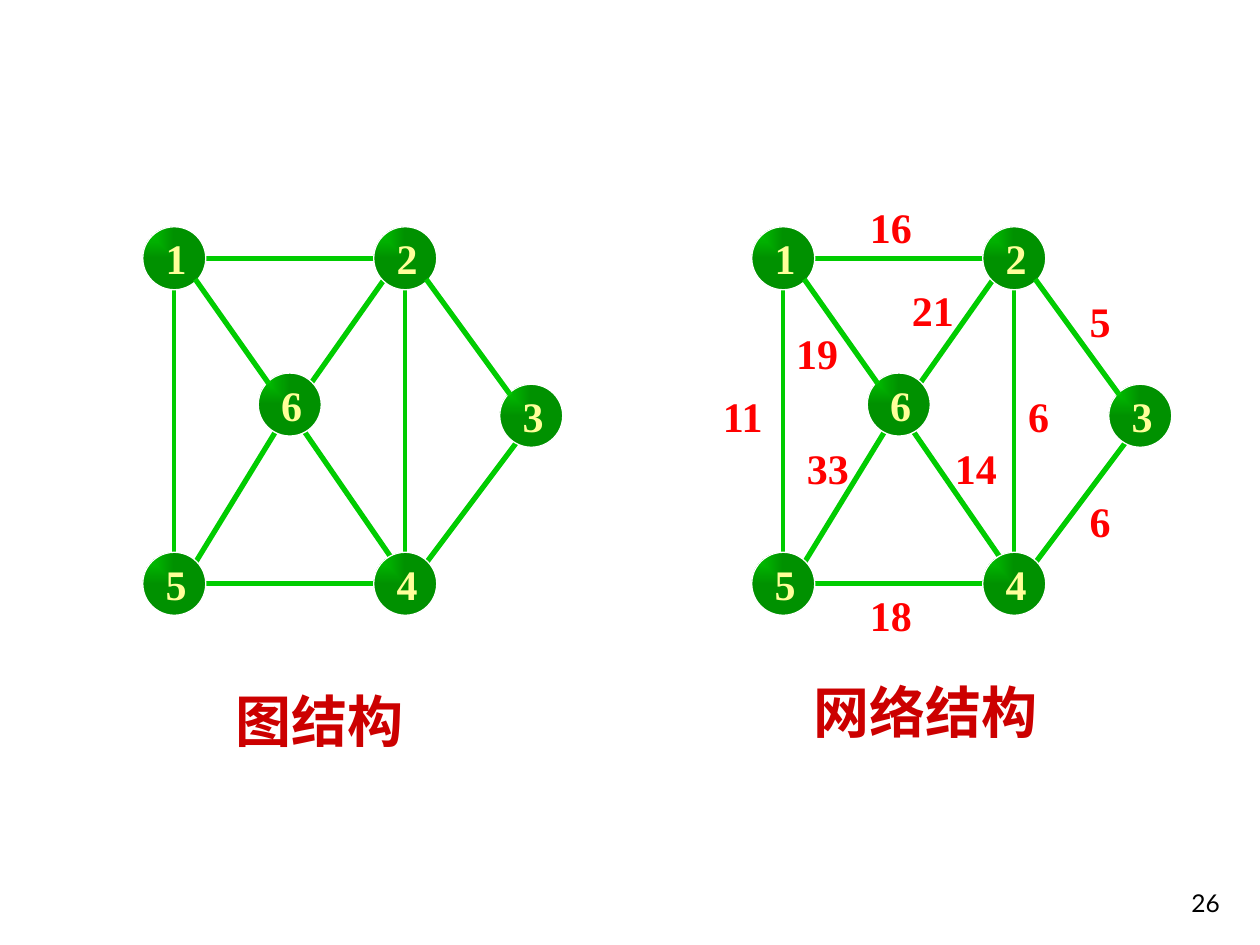
from lxml.etree import SubElement
from pptx import Presentation
from pptx.dml.color import RGBColor
from pptx.enum.shapes import MSO_CONNECTOR, MSO_SHAPE
from pptx.enum.text import MSO_ANCHOR, MSO_AUTO_SIZE, PP_ALIGN
from pptx.oxml import parse_xml
from pptx.oxml.ns import nsdecls, qn
from pptx.util import Pt

GREEN = RGBColor(0x00, 0xCC, 0x00)
WHITE = RGBColor(0xFF, 0xFF, 0xFF)
YELLOW = RGBColor(0xFF, 0xFF, 0x99)
RED = RGBColor(0xFF, 0x00, 0x00)
DARK_RED = RGBColor(0xCC, 0x00, 0x00)
BLACK = RGBColor(0x00, 0x00, 0x00)
SERIF, SANS = "Times New Roman", "Lato"

DIAMETER = 36
RADIUS = DIAMETER / 2
NETWORK_X = 348  # distance from the graph to the network

# Centres of the nodes in the left graph
NODES = {
    "1": (99.6, 147.6), "2": (231.6, 147.6), "3": (303.6, 237.6),
    "4": (231.6, 333.6), "5": (99.6, 333.6), "6": (165.6, 231.2),
}
# Node, offset from its centre, node, offset from its centre, line width
BACK_EDGES = [
    ("2", (-12, 12), "6", (12, -12), 3),
    ("3", (-6, 12), "4", (12, -12), 3),
    ("6", (-6, 12), "5", (12, -12), 3),
    ("6", (6, 12), "4", (-6, -12), 3),
    ("1", (0, RADIUS), "5", (0, -RADIUS), 2.25),
    ("2", (0, RADIUS), "4", (0, -RADIUS), 2.25),
    ("1", (RADIUS, 0), "2", (-RADIUS, 0), 3),
    ("5", (RADIUS, 0), "4", (-RADIUS, 0), 3),
]
FRONT_EDGES = [
    ("2", (12, 12), "3", (-12, -12), 3),
    ("1", (12, 12), "6", (-12, -12), 3),
]
# Weight, left, top
WEIGHTS = [
    ("11", 406, 219.6), ("33", 454, 249.2), ("18", 490, 333.6),
    ("14", 538.6, 249.2), ("6", 580.4, 219.6), ("6", 615.6, 279.6),
    ("5", 615.6, 165.6), ("16", 490, 111.6), ("19", 447.8, 183.6),
    ("21", 514, 159.2),
]
# Caption, left, top, width, left margin
CAPTIONS = [
    ("图结构", 110, 388, 153.4, 24.6),
    ("网络结构", 456.4, 383, 158.4, 8.64),
]
PAGE_NUMBER = "26"

prs = Presentation()
prs.slide_width, prs.slide_height = Pt(720), Pt(540)
slide = prs.slides.add_slide(prs.slide_layouts[6])
shapes = slide.shapes


def add_text(text, left, top, width, height, size, color, font=SERIF, bold=True):
    box = shapes.add_textbox(Pt(left), Pt(top), Pt(width), Pt(height))
    frame = box.text_frame
    frame.text = text
    style = frame.paragraphs[0].runs[0].font
    style.name, style.size, style.bold = font, Pt(size), bold
    style.color.rgb = color
    return frame


def add_number(text, left, top, color):
    width = 14.4 + 12 * len(text)
    frame = add_text(text, left, top, width, 36, 24, color)
    frame.word_wrap = False
    frame.auto_size = MSO_AUTO_SIZE.SHAPE_TO_FIT_TEXT


def add_edges(edges, dx):
    for start, (sx, sy), end, (ex, ey), width in edges:
        x1, y1 = NODES[start]
        x2, y2 = NODES[end]
        edge = shapes.add_connector(
            MSO_CONNECTOR.STRAIGHT, Pt(x1 + sx + dx), Pt(y1 + sy),
            Pt(x2 + ex + dx), Pt(y2 + ey))
        edge.line.color.rgb = GREEN
        edge.line.width = Pt(width)
        SubElement(edge._element.spPr, qn("a:effectLst"))


def fill_from_corner(shape):
    """Shade the shape from green at its top left corner to dark green."""
    gradient = parse_xml(
        f'<a:gradFill {nsdecls("a")} rotWithShape="0"><a:gsLst>'
        f'<a:gs pos="0"><a:srgbClr val="{GREEN}"/></a:gs>'
        f'<a:gs pos="100000"><a:srgbClr val="{GREEN}">'
        '<a:shade val="46275"/></a:srgbClr></a:gs></a:gsLst>'
        '<a:path path="rect"><a:fillToRect r="100000" b="100000"/></a:path>'
        '</a:gradFill>')
    shape._element.spPr.find(qn("a:prstGeom")).addnext(gradient)


def add_graph(dx):
    add_edges(BACK_EDGES, dx)
    for x, y in NODES.values():
        node = shapes.add_shape(
            MSO_SHAPE.OVAL, Pt(x - RADIUS + dx), Pt(y - RADIUS),
            Pt(DIAMETER), Pt(DIAMETER))
        node.shadow.inherit = False
        fill_from_corner(node)
        node.line.color.rgb = WHITE
        node.line.width = Pt(0.75)
    add_edges(FRONT_EDGES, dx)
    for label, (x, y) in NODES.items():
        add_number(label, x - 12 + dx, y - RADIUS, YELLOW)


for graph_x in (0, NETWORK_X):
    add_graph(graph_x)
for weight, left, top in WEIGHTS:
    add_number(weight, left, top, RED)

for caption, left, top, width, margin in CAPTIONS:
    frame = add_text(caption, left, top, width, 47.5, 32, DARK_RED)
    frame.word_wrap = True
    frame.auto_size = MSO_AUTO_SIZE.SHAPE_TO_FIT_TEXT
    frame.margin_left, frame.margin_right = Pt(margin), Pt(8.64)
    frame.margin_top = frame.margin_bottom = Pt(4.32)

page = add_text(PAGE_NUMBER, 554.4, 491.8, 149.8, 36, 14, BLACK, SANS, False)
page.word_wrap = True
page.vertical_anchor = MSO_ANCHOR.BOTTOM
page.paragraphs[0].alignment = PP_ALIGN.RIGHT

prs.save("out.pptx")
